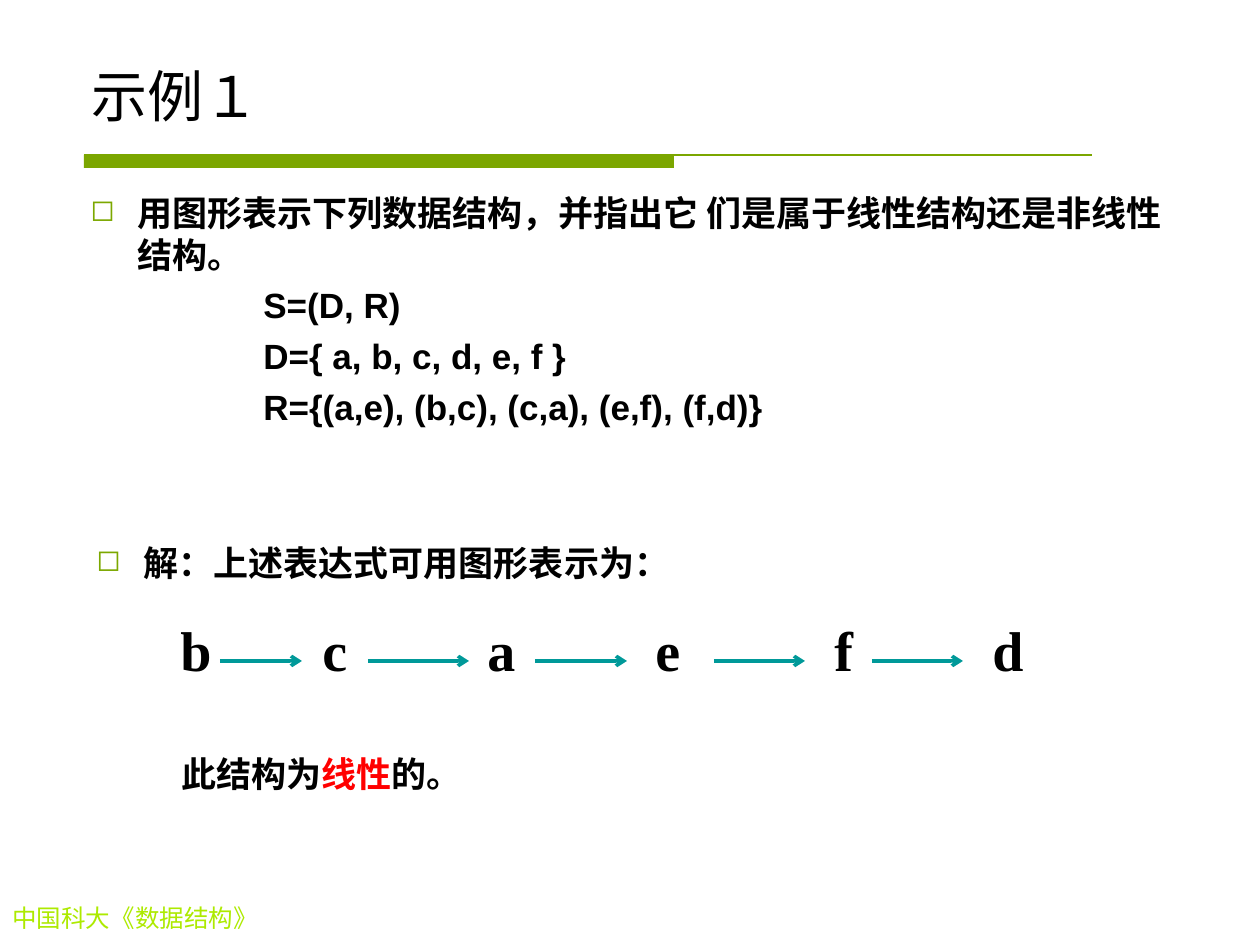
from dataclasses import dataclass
from itertools import pairwise

from lxml import etree
from pptx import Presentation
from pptx import util as u
from pptx.dml.color import RGBColor
from pptx.enum import shapes, text
from pptx.oxml import ns

PX_PER_INCH = 126


@dataclass(frozen=True)
class Theme:
    sans: str = "Arial"
    serif: str = "Times New Roman"
    ink: str = "000000"
    accent: str = "FF0000"
    band: str = "7BA600"
    bullet: str = "7CA800"
    footer: str = "ADEA00"
    arrow: str = "009999"
    large: int = 32
    body: int = 20
    small: int = 14


THEME = Theme()


def px(length):
    return u.Emu(round(length * u.Inches(1) / PX_PER_INCH))


def rgb(color):
    return RGBColor.from_string(color)


def add_child(parent, tag, **attributes):
    child = etree.SubElement(parent, ns.qn(tag))
    for name, value in attributes.items():
        child.set(name, str(value))
    return child


def format_paragraph(paragraph, margin, hanging, bullet):
    properties = paragraph._p.get_or_add_pPr()
    properties.set("marL", str(px(margin)))
    properties.set("indent", str(-px(hanging)))
    if bullet:
        bullet_color = add_child(properties, "a:buClr")
        add_child(bullet_color, "a:srgbClr", val=THEME.bullet)
        add_child(properties, "a:buSzPct", val=85000)
        add_child(properties, "a:buChar", char=bullet)
    else:
        add_child(properties, "a:buNone")


def add_paragraph(frame, runs, size=THEME.body, font=THEME.sans, color=THEME.ink,
                  bold=True, margin=0, hanging=0, bullet=None, before=0):
    """Fill the empty first paragraph or append one; a run is text or (text, color)."""
    first = frame.paragraphs[0]
    paragraph = frame.add_paragraph() if first.runs else first
    format_paragraph(paragraph, margin, hanging, bullet)
    paragraph.space_before = u.Pt(before)
    for item in [runs] if isinstance(runs, str) else runs:
        words, run_color = (item, color) if isinstance(item, str) else item
        run = paragraph.add_run()
        run.text = words
        run.font.name = font
        run.font.size = u.Pt(size)
        run.font.bold = bold
        run.font.color.rgb = rgb(run_color)


def add_text_box(slide, left, top, width, height, anchor=text.MSO_ANCHOR.TOP, wrap=True):
    shape = slide.shapes.add_textbox(px(left), px(top), px(width), px(height))
    shape.text_frame.word_wrap = wrap
    shape.text_frame.vertical_anchor = anchor
    return shape.text_frame


def add_line(slide, start, end, y, color, width, arrow=False):
    line = slide.shapes.add_connector(
        shapes.MSO_CONNECTOR.STRAIGHT, px(start), px(y), px(end), px(y))
    line.line.color.rgb = rgb(color)
    line.line.width = u.Pt(width)
    if arrow:
        add_child(line.line._get_or_add_ln(), "a:tailEnd", type="arrow")
    add_child(line._element.spPr, "a:effectLst")


def add_title_rule(slide):
    band = slide.shapes.add_shape(
        shapes.MSO_SHAPE.RECTANGLE, px(84), px(155), px(590), px(13))
    band.shadow.inherit = False
    band.fill.solid()
    band.fill.fore_color.rgb = rgb(THEME.band)
    band.line.fill.background()
    add_line(slide, 84, 1092, 155, THEME.band, 0.75)


def add_question(slide):
    frame = add_text_box(slide, 78, 185, 1102, 277)
    add_paragraph(frame, "用图形表示下列数据结构，并指出它 们是属于线性结构还是非线性结构。",
                  margin=47, hanging=47, bullet="◻")
    for definition in ("S=(D, R)", "D={ a, b, c, d, e, f }",
                       "R={(a,e), (b,c), (c,a), (e,f), (f,d)}"):
        add_paragraph(frame, definition, margin=173, before=5)


def add_chain(slide):
    """Place each node letter by its left edge, with an arrow in each gap."""
    nodes = {"b": 168, "c": 310, "a": 475, "e": 643, "f": 822, "d": 980}
    for letter, left in nodes.items():
        frame = add_text_box(slide, left, 609, 60, 81)
        add_paragraph(frame, letter, size=THEME.large, font=THEME.serif)
    arrows = {"bc": (220, 302), "ca": (368, 469), "ae": (535, 627),
              "ef": (714, 805), "fd": (872, 963)}
    for source, target in pairwise(nodes):
        start, end = arrows[source + target]
        add_line(slide, start, end, 661, THEME.arrow, 2, arrow=True)


def main():
    presentation = Presentation()
    presentation.slide_width = u.Inches(10)
    presentation.slide_height = u.Inches(7.5)
    slide = presentation.slides.add_slide(presentation.slide_layouts[6])

    add_title_rule(slide)
    footer = add_text_box(slide, 0, 897, 392, 43)
    add_paragraph(footer, "中国科大《数据结构》", size=THEME.small,
                  font=THEME.serif, color=THEME.footer, bold=False)
    title = add_text_box(slide, 79, 42, 1102, 93, anchor=text.MSO_ANCHOR.BOTTOM)
    add_paragraph(title, "示例１", size=THEME.large, bold=False)

    add_question(slide)
    answer = add_text_box(slide, 84, 535, 1102, 277)
    add_paragraph(answer, "解：上述表达式可用图形表示为：",
                  margin=47, hanging=47, bullet="◻")
    add_chain(slide)
    conclusion = add_text_box(slide, 169, 746, 305, 55, wrap=False)
    add_paragraph(conclusion, ["此结构为", ("线性", THEME.accent), "的。"])

    presentation.save("out.pptx")


if __name__ == "__main__":
    main()
